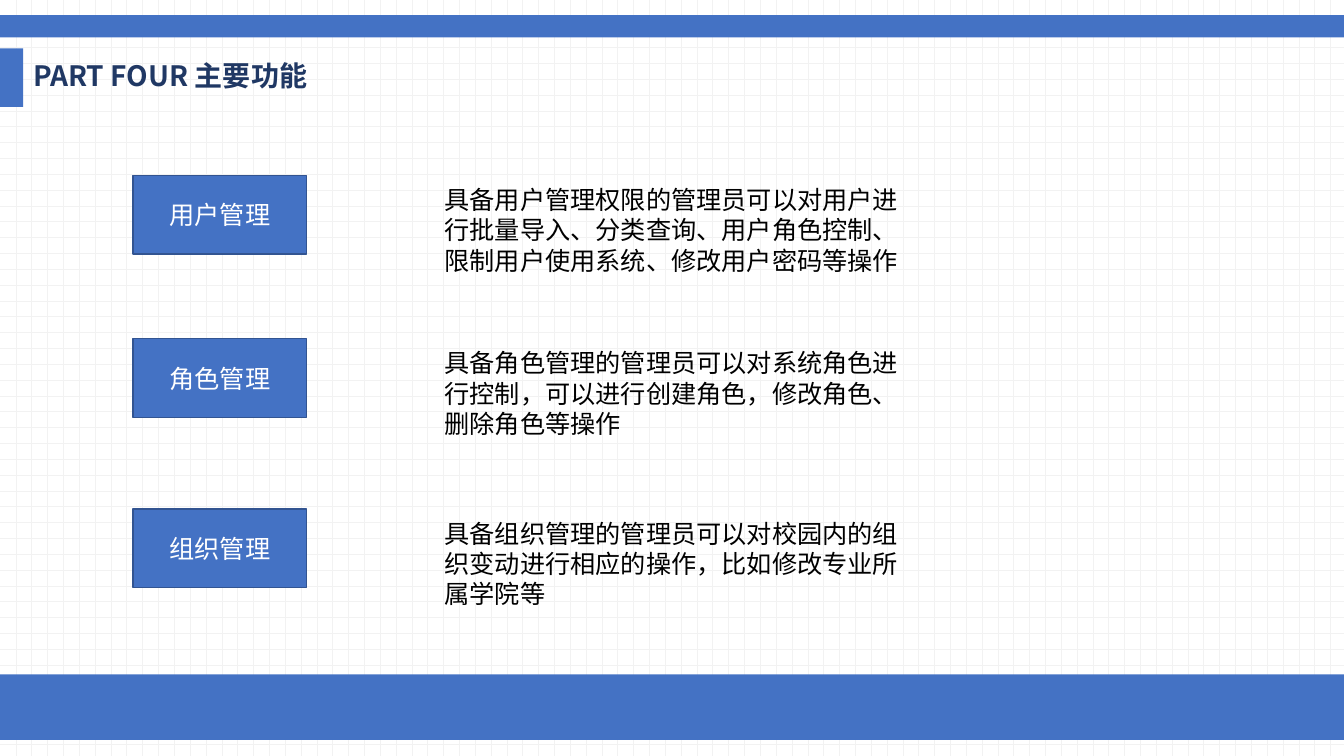
"""Builds the slide on the main functions: users, roles and organisations."""
from dataclasses import dataclass

from lxml.etree import SubElement
from pptx import Presentation
from pptx.dml.color import RGBColor
from pptx.enum.dml import MSO_PATTERN
from pptx.enum.shapes import MSO_SHAPE
from pptx.enum.text import MSO_ANCHOR as Anchor, PP_ALIGN as Align
from pptx.oxml.ns import qn
from pptx.util import Inches, Pt


@dataclass(frozen=True)
class Theme:
    font: str = "Noto Sans CJK SC"
    blue: RGBColor = RGBColor(0x44, 0x72, 0xC4)
    edge: RGBColor = RGBColor(0x32, 0x54, 0x91)
    navy: RGBColor = RGBColor(0x20, 0x38, 0x64)
    grid: RGBColor = RGBColor(0xF2, 0xF2, 0xF2)
    white: RGBColor = RGBColor(0xFF, 0xFF, 0xFF)
    black: RGBColor = RGBColor(0x00, 0x00, 0x00)
    title_size: int = 20
    body_size: int = 18


theme = Theme()


def add_block(left, top, width, height, edge=None):
    block = slide.shapes.add_shape(
        MSO_SHAPE.RECTANGLE, Inches(left), Inches(top), Inches(width), Inches(height))
    block.shadow.inherit = False
    block.fill.solid()
    block.fill.fore_color.rgb = theme.blue
    if edge is None:
        block.line.fill.background()
    else:
        block.line.color.rgb = edge
        block.line.width = Pt(1)
    return block


def write(holder, text, color=theme.black, size=theme.body_size, bold=False,
          align=Align.LEFT, anchor=Anchor.TOP, line_spacing=None, space_before=None):
    frame = holder.text_frame
    frame.word_wrap = True
    frame.vertical_anchor = anchor
    paragraph = frame.paragraphs[0]
    paragraph.alignment = align
    paragraph.line_spacing = line_spacing
    paragraph.space_before = space_before
    run = paragraph.add_run()
    run.text = text
    run.font.size = Pt(size)
    run.font.bold = bold
    run.font.color.rgb = color
    run.font.name = theme.font
    SubElement(run.font._element, qn("a:ea"), typeface=theme.font)


deck = Presentation()
deck.slide_width, deck.slide_height = Inches(13.33), Inches(7.5)
slide = deck.slides.add_slide(deck.slide_layouts[6])

backdrop = slide.background.fill
backdrop.patterned()
backdrop.pattern = MSO_PATTERN.DOTTED_GRID
backdrop.fore_color.rgb = theme.grid
backdrop.back_color.rgb = theme.white

for left, top, width, height in [
    (0, 6.69, 13.33, 0.65),
    (0, 0.15, 13.33, 0.22),
    (0, 0.48, 0.23, 0.58),
]:
    add_block(left, top, width, height)

title = slide.shapes.add_textbox(Inches(0.23), Inches(0.48), Inches(5.32), Inches(0.58))
write(title, "PART FOUR 主要功能", color=theme.navy, size=theme.title_size, bold=True,
      anchor=Anchor.MIDDLE, line_spacing=0.9, space_before=Pt(10))

functions = [
    (1.74, "用户管理", "具备用户管理权限的管理员可以对用户进行批量导入、分类查询、"
                   "用户角色控制、限制用户使用系统、修改用户密码等操作"),
    (3.36, "角色管理", "具备角色管理的管理员可以对系统角色进行控制，"
                   "可以进行创建角色，修改角色、删除角色等操作"),
    (5.05, "组织管理", "具备组织管理的管理员可以对校园内的组织变动进行相应的操作，"
                   "比如修改专业所属学院等"),
]
for top, name, description in functions:
    label = add_block(1.32, top, 1.72, 0.78, edge=theme.edge)
    write(label, name, color=theme.white, align=Align.CENTER, anchor=Anchor.MIDDLE)
    details = slide.shapes.add_textbox(
        Inches(4.31), Inches(top + 0.04), Inches(4.72), Inches(1.01))
    write(details, description)

deck.save("out.pptx")
